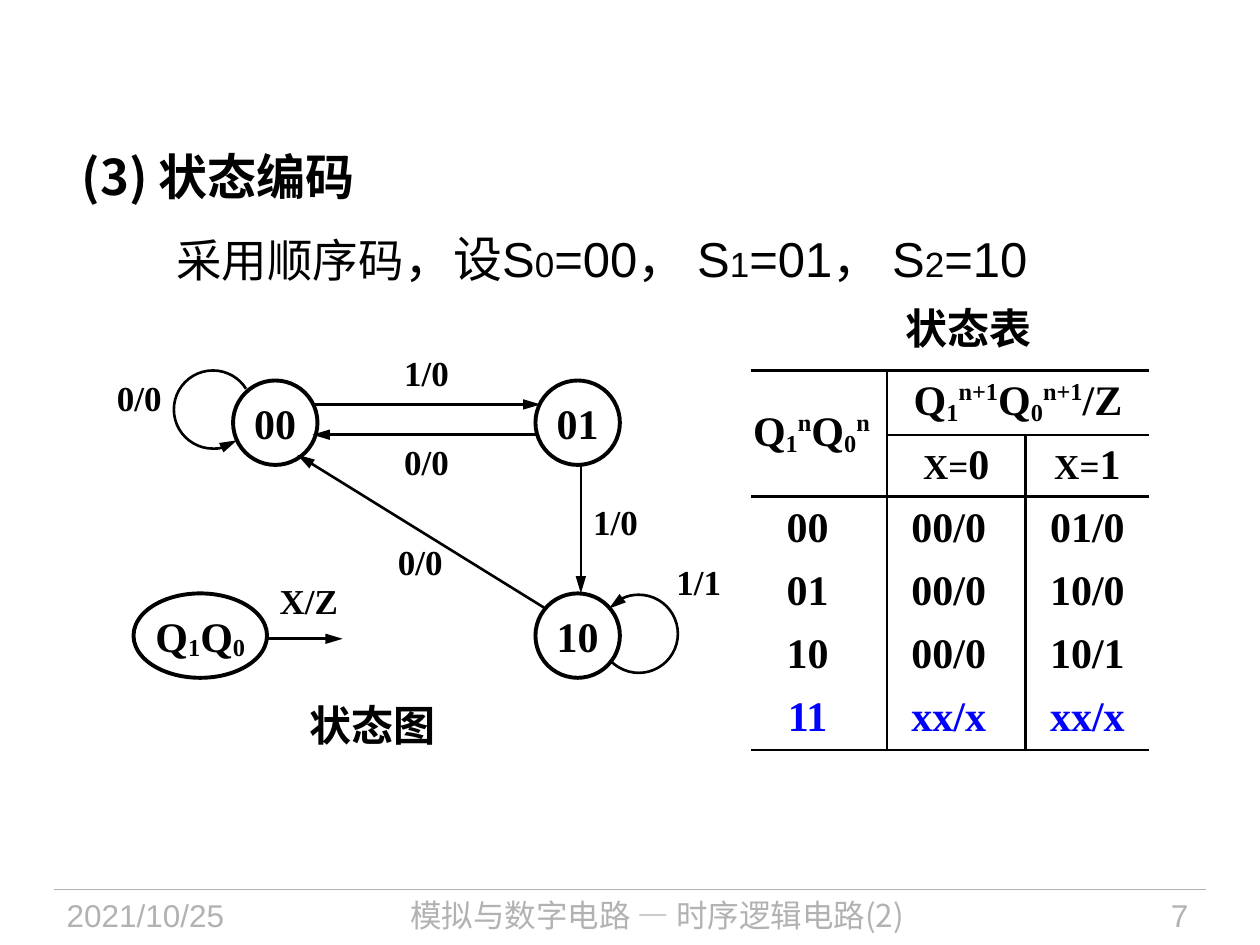
from dataclasses import dataclass

from lxml import etree
from pptx import Presentation
from pptx import util as u
from pptx.dml.color import RGBColor
from pptx.enum import shapes, text
from pptx.oxml import ns

COLS, ROWS = 100, 75
LEFT, CENTER, RIGHT = text.PP_ALIGN.LEFT, text.PP_ALIGN.CENTER, text.PP_ALIGN.RIGHT
MIDDLE = text.MSO_ANCHOR.MIDDLE


@dataclass(frozen=True)
class Theme:
    ink: str = "000000"
    accent: str = "0000FF"
    muted: str = "B2B2B2"
    sans: str = "Arial"
    serif: str = "Times New Roman"
    cjk: str = "Noto Sans CJK SC"
    heading: int = 28
    lead: int = 26
    strong: int = 24
    label: int = 20
    footer: int = 18
    rule: float = 1.5
    outline: float = 2.25
    hairline: float = 0.75


THEME = Theme()


def add_xml(parent, tag, **attrs):
    return etree.SubElement(parent, ns.qn(tag), attrs)


def write(p, content, size=THEME.strong, font=THEME.serif, color=THEME.ink,
          bold=True, align=LEFT):
    """Fill a paragraph with a string or a list of (string, format changes)."""
    p.alignment = align
    for words, change in [(content, {})] if isinstance(content, str) else content:
        r = p.add_run()
        r.text = words
        r.font.size = u.Pt(change.get("size", size))
        r.font.name = change.get("font", font)
        r.font.bold = bold
        r.font.color.rgb = RGBColor.from_string(color)
        r_pr = r._r.get_or_add_rPr()
        add_xml(r_pr, "a:ea", typeface=THEME.cjk)
        if "base" in change:
            r_pr.set("baseline", str(change["base"] * 1000))


def state_bits(sup="", sub=-15):
    """Runs for Q1 Q0, each with an optional superscript."""
    runs = []
    for index in "10":
        runs += [("Q", {}), (index, {"base": sub})]
        if sup:
            runs.append((sup, {"base": 35}))
    return runs


class Board:
    def __init__(self, prs, theme):
        self.theme = theme
        self.dx, self.dy = prs.slide_width / COLS, prs.slide_height / ROWS
        self.slide = prs.slides.add_slide(prs.slide_layouts[1])
        self.shapes = self.slide.shapes

    def box(self, x, y, w, h):
        return [round(n) for n in (x * self.dx, y * self.dy, w * self.dx, h * self.dy)]

    def placeholder(self, index, area, content, **fmt):
        sp = self.slide.placeholders[index]
        sp.left, sp.top, sp.width, sp.height = self.box(*area)
        tf = sp.text_frame
        tf.auto_size, tf.vertical_anchor = text.MSO_AUTO_SIZE.NONE, MIDDLE
        p = tf.paragraphs[0]
        p.space_before = u.Pt(0)
        p_pr = p._p.get_or_add_pPr()
        p_pr.set("marL", "0")
        p_pr.set("indent", "0")
        add_xml(p_pr, "a:buNone")
        write(p, content, **fmt)

    def textbox(self, area, content, wrap=False, **fmt):
        tf = self.shapes.add_textbox(*self.box(*area)).text_frame
        tf.word_wrap = wrap
        write(tf.paragraphs[0], content, **fmt)

    def stroke(self, sp, color, width, arrow=None):
        sp.line.color.rgb = RGBColor.from_string(color)
        sp.line.width = u.Pt(width)
        if arrow:
            add_xml(sp.line._get_or_add_ln(), arrow, type="triangle", w="med", len="lg")

    def line(self, x1, y1, x2, y2, color=THEME.ink, width=THEME.rule, arrow=None):
        ends = self.box(x1, y1, x2, y2)
        sp = self.shapes.add_connector(shapes.MSO_CONNECTOR.STRAIGHT, *ends)
        self.stroke(sp, color, width, arrow)
        add_xml(sp._element.spPr, "a:effectLst")

    def outline(self, kind, area, width, arrow=None):
        sp = self.shapes.add_shape(kind, *self.box(*area))
        sp.shadow.inherit = False
        sp.fill.background()
        self.stroke(sp, self.theme.ink, width, arrow)
        return sp

    def state(self, x, y, content, w=6.7, h=6.7):
        sp = self.outline(shapes.MSO_SHAPE.OVAL, (x, y, w, h), self.theme.outline)
        tf = sp.text_frame
        tf.margin_left = tf.margin_right = tf.margin_top = tf.margin_bottom = 0
        tf.word_wrap, tf.vertical_anchor = False, MIDDLE
        write(tf.paragraphs[0], content, align=CENTER)

    def loop(self, cx, cy, start, end, radius=3.1):
        """Arc running clockwise in degrees, with its arrowhead at the start."""
        area = (cx - radius, cy - radius, 2 * radius, 2 * radius)
        sp = self.outline(shapes.MSO_SHAPE.ARC, area, self.theme.rule, "a:headEnd")
        for i, degrees in enumerate((start, end)):
            sp.adjustments[i] = degrees * 0.6

    def border(self, cell, edges):
        tc_pr = cell._tc.get_or_add_tcPr()
        for i, (side, shown) in enumerate(edges.items()):
            ln = etree.Element(ns.qn(f"a:ln{side}"), w=str(u.Pt(self.theme.rule)))
            fill = add_xml(ln, "a:solidFill" if shown else "a:noFill")
            if shown:
                add_xml(fill, "a:srgbClr", val=self.theme.ink)
            tc_pr.insert(i, ln)

    def state_table(self, x, y, widths, heights, rows):
        area = self.box(x, y, sum(widths), sum(heights))
        table = self.shapes.add_table(len(heights), len(widths), *area).table
        table.first_row = table.horz_banding = False
        for column, width in zip(table.columns, widths):
            column.width = round(width * self.dx)
        for row, height in zip(table.rows, heights):
            row.height = round(height * self.dy)
        table.cell(0, 0).merge(table.cell(1, 0))
        table.cell(0, 1).merge(table.cell(0, 2))
        head_insets, body_insets = (1.2, 0, 0), (1.8, 1.2, 0)

        def ruled_above(r, c):
            return r in (0, 2, len(heights)) or (r == 1 and c > 0)

        def ruled_left(r, c):
            return c == 1 or (c == 2 and r > 0)

        for r, row in enumerate(rows):
            insets = head_insets if r < 2 else body_insets
            for c, content in enumerate(row):
                cell = table.cell(r, c)
                cell.fill.background()
                cell.vertical_anchor = MIDDLE
                cell.margin_left = cell.margin_top = cell.margin_bottom = 0
                cell.margin_right = round(insets[c] * self.dx)
                self.border(cell, {"L": ruled_left(r, c), "R": ruled_left(r, c + 1),
                                   "T": ruled_above(r, c), "B": ruled_above(r + 1, c)})
                if content:
                    color = self.theme.accent if r == len(rows) - 1 else self.theme.ink
                    write(cell.text_frame.paragraphs[0], content, color=color, align=CENTER)


def main():
    t = THEME
    prs = Presentation()
    prs.slide_width, prs.slide_height = u.Inches(10), u.Inches(7.5)
    s = Board(prs, t)

    s.line(4.3, 70.6, 95.7, 70.6, color=t.muted, width=t.hairline)
    for x, w, words, font, align in (
            (4.3, 18.8, "2021/10/25", t.sans, LEFT),
            (24, 56.3, "模拟与数字电路 — 时序逻辑电路(2)", t.cjk, CENTER),
            (82, 13.3, "7", t.sans, RIGHT)):
        s.textbox((x, 70.6, w, 4.4), words, wrap=True, size=t.footer, font=font,
                  color=t.muted, bold=False, align=align)

    s.placeholder(0, (5.5, 11.1, 43.3, 5.7),
                  [("(3) ", {"font": t.cjk}), ("状态编码", {})], size=t.heading, font=t.sans)
    small = {"size": t.label}
    s.placeholder(1, (13, 17.6, 77.6, 5.7),
                  [("采用顺序码", {"size": t.lead}), ("，设S", {}), ("0", small),
                   ("=00， S", {}), ("1", small), ("=01， S", {}), ("2", small), ("=10", {})],
                  size=t.heading, font=t.sans, bold=False)

    for ends in ((24.8, 32.1, 42.9, 32.1), (42.5, 34.5, 24.8, 34.5),
                 (46.1, 36.9, 46.1, 47.1), (43.3, 48.3, 23.6, 36.1),
                 (21.2, 50.7, 27.2, 50.7)):
        s.line(*ends, arrow="a:tailEnd")
    s.loop(16.9, 32.5, 52, 328)
    s.loop(50.7, 50.3, 220, 138)
    for x, y, words in ((31.1, 27.4, "1/0"), (46.1, 39.2, "1/0"), (30.6, 42.4, "0/0"),
                        (31.1, 34.5, "0/0"), (8.3, 29.4, "0/0"), (52.7, 44, "1/1"),
                        (21.2, 45.5, "X/Z")):
        s.textbox((x, y, 6.9 if words == "X/Z" else 5.6, 4.3), words, size=t.label)
    for x, y, code in ((18.5, 30.2, "00"), (42.5, 30.2, "01"), (42.5, 47.1, "10")):
        s.state(x, y, code)
    s.state(10.6, 47.1, state_bits(sub=-10), w=10.6)

    for x, y, caption in ((23.6, 55, "状态图"), (70.9, 23.5, "状态表")):
        s.textbox((x, y, 12.1, 5), caption, font=t.sans)
    inputs = [[("X=", small), (value, {})] for value in "01"]
    s.state_table(59.6, 29.4, (10.8, 11, 9.8), (5.1, 4.9, 5, 5, 5, 5.1), [
        (state_bits("n"), state_bits("n+1") + [("/Z", {})], ""),
        ("", *inputs),
        ("00", "00/0", "01/0"),
        ("01", "00/0", "10/0"),
        ("10", "00/0", "10/1"),
        ("11", "xx/x", "xx/x")])
    prs.save("out.pptx")


if __name__ == "__main__":
    main()
